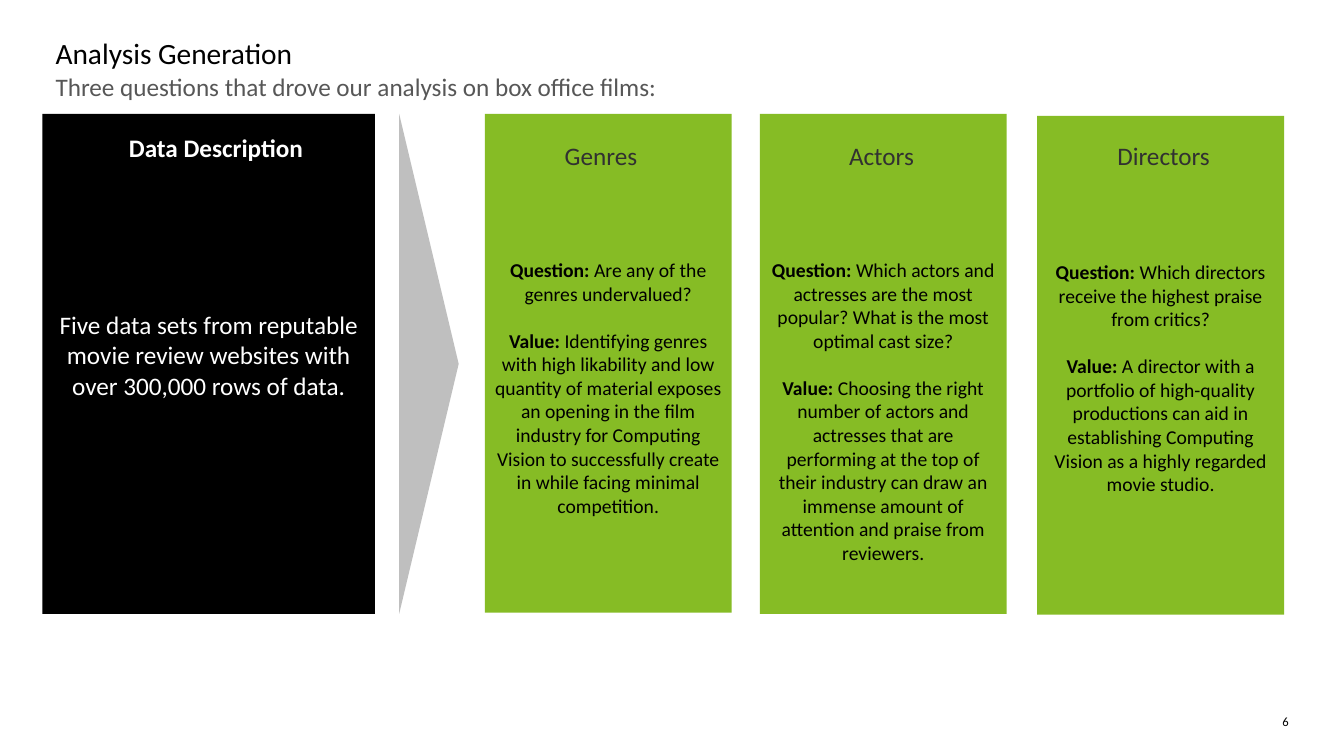
"""Build the Analysis Generation slide with its data panel and three question columns."""
from dataclasses import dataclass

import pptx
import pptx.dml.color
import pptx.enum.shapes
import pptx.enum.text
import pptx.shapes.autoshape
import pptx.slide
import pptx.text.text
import pptx.util

Cm = pptx.util.Cm
Pt = pptx.util.Pt
ALIGN = pptx.enum.text.PP_ALIGN
SHAPE = pptx.enum.shapes.MSO_SHAPE

COLORS = {
    "black": "000000",
    "white": "FFFFFF",
    "green": "86BC25",
    "arrow": "BFBFBF",
    "subtitle": "575757",
    "heading": "313131",
}
FONT = "Calibri"
PANEL_TOP = 2.87
PANEL_HEIGHT = 12.6
PADDING = 0.25


@dataclass
class Label:
    text: str
    left: float
    top: float
    width: float
    height: float
    size: float
    color: str
    align: ALIGN = ALIGN.CENTER
    bold: bool = False


@dataclass
class Column:
    heading: str
    question: str
    value: str
    left: float
    heading_left: float
    top: float = PANEL_TOP
    height: float = PANEL_HEIGHT


LABELS = [
    Label("Analysis Generation", 1.4, 0.89, 31.09, 0.94, 21, "black", ALIGN.LEFT),
    Label("Three questions that drove our analysis on box office films:",
          1.4, 1.8, 31.09, 2.11, 18, "subtitle", ALIGN.LEFT),
    Label("Data Description", 2.5, 3.33, 5.89, 0.76, 18, "white", bold=True),
    Label("6", 31.62, 17.98, 0.86, 0.38, 9, "black", ALIGN.RIGHT),
]

COLUMNS = [
    Column("Genres", "Are any of the genres undervalued?",
           "Identifying genres with high likability and low quantity of material "
           "exposes an opening in the film industry for Computing Vision to "
           "successfully create in while facing minimal competition.",
           12.22, 12.34, height=12.57),
    Column("Actors",
           "Which actors and actresses are the most popular? "
           "What is the most optimal cast size?",
           "Choosing the right number of actors and actresses that are performing "
           "at the top of their industry can draw an immense amount of attention "
           "and praise from reviewers.",
           19.15, 19.41),
    Column("Directors", "Which directors receive the highest praise from critics?",
           "A director with a portfolio of high-quality productions can aid in "
           "establishing Computing Vision as a highly regarded movie studio.",
           26.14, 26.52, top=2.92, height=12.57),
]


def rgb(name: str) -> pptx.dml.color.RGBColor:
    return pptx.dml.color.RGBColor.from_string(COLORS[name])


def format_run(r: pptx.text.text._Run, size: float, color: str, bold: bool = False) -> None:
    r.font.name = FONT
    r.font.size = Pt(size)
    r.font.bold = bold
    r.font.color.rgb = rgb(color)


def set_frame(tf: pptx.text.text.TextFrame, padding: float, top: float) -> None:
    tf.word_wrap = True
    tf.vertical_anchor = pptx.enum.text.MSO_ANCHOR.TOP
    tf.margin_left = tf.margin_right = tf.margin_bottom = Cm(padding)
    tf.margin_top = Cm(top)


def add_label(s: pptx.slide.Slide, label: Label) -> None:
    sp = s.shapes.add_textbox(Cm(label.left), Cm(label.top), Cm(label.width), Cm(label.height))
    tf = sp.text_frame
    set_frame(tf, 0, 0)
    tf.text = label.text
    p = tf.paragraphs[0]
    p.alignment = label.align
    format_run(p.runs[0], label.size, label.color, label.bold)


def add_panel(s: pptx.slide.Slide, kind: SHAPE, left: float, top: float, width: float,
              height: float, color: str) -> pptx.shapes.autoshape.Shape:
    sp = s.shapes.add_shape(kind, Cm(left), Cm(top), Cm(width), Cm(height))
    sp.shadow.inherit = False
    sp.fill.solid()
    sp.fill.fore_color.rgb = rgb(color)
    sp.line.fill.background()
    return sp


def add_data_panel(s: pptx.slide.Slide) -> None:
    sp = add_panel(s, SHAPE.RECTANGLE, 1.07, PANEL_TOP, 8.38, PANEL_HEIGHT, "black")
    tf = sp.text_frame
    set_frame(tf, PADDING, 4.93)
    tf.text = ("Five data sets from reputable movie review websites "
               "with over 300,000 rows of data.")
    p = tf.paragraphs[0]
    p.alignment = ALIGN.CENTER
    format_run(p.runs[0], 18, "white")


def add_column(s: pptx.slide.Slide, column: Column) -> None:
    sp = add_panel(s, SHAPE.RECTANGLE, column.left, column.top, 6.22, column.height, "green")
    tf = sp.text_frame
    set_frame(tf, PADDING, 3.63)
    tf.text = "Question: \nValue: "
    for p, body in zip(tf.paragraphs, (column.question, column.value)):
        p.alignment = ALIGN.CENTER
        format_run(p.runs[0], 14, "black", bold=True)
        r = p.add_run()
        r.text = body
        format_run(r, 14, "black")
    tf.paragraphs[1].space_before = Pt(17)
    add_label(s, Label(column.heading, column.heading_left, 3.53, 5.61, 0.76, 18, "heading"))


def main() -> None:
    prs = pptx.Presentation()
    prs.slide_width, prs.slide_height = Cm(33.87), Cm(19.05)
    s = prs.slides.add_slide(prs.slide_layouts[6])
    arrow = add_panel(s, SHAPE.PENTAGON, 10.06, PANEL_TOP, 1.5, PANEL_HEIGHT, "arrow")
    arrow.adjustments[0] = 1
    add_data_panel(s)
    for column in COLUMNS:
        add_column(s, column)
    for label in LABELS:
        add_label(s, label)
    prs.save("out.pptx")


if __name__ == "__main__":
    main()
